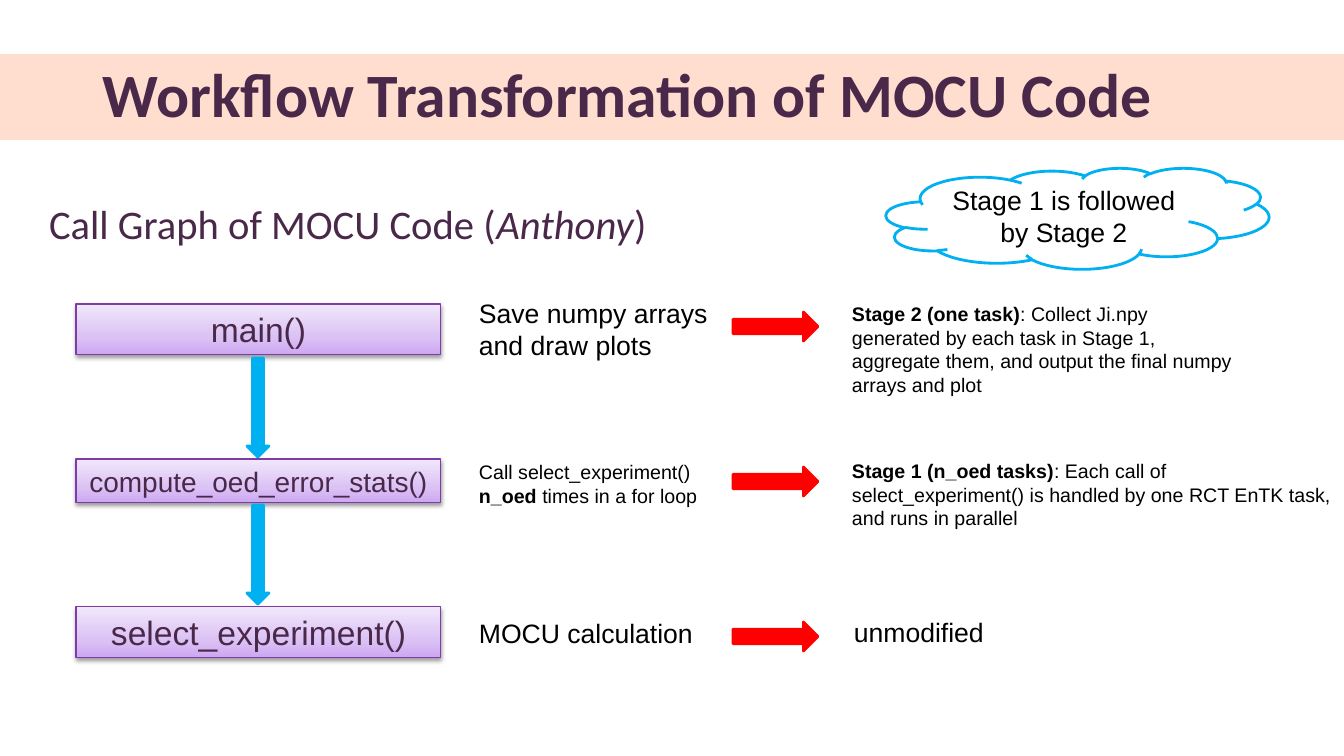
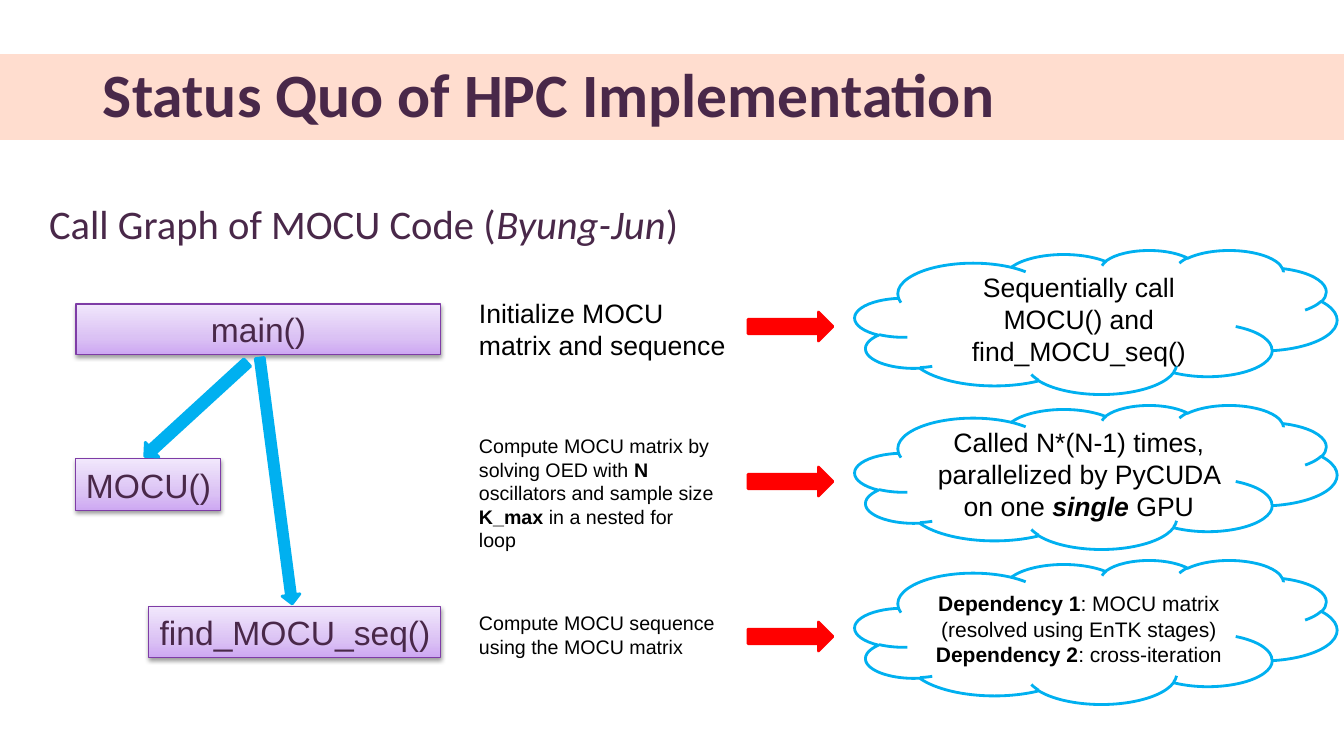
import dataclasses

import lxml.etree
import pptx
import pptx.dml.color
import pptx.enum.shapes
import pptx.enum.text
import pptx.oxml.ns
import pptx.util

SLIDE_W, SLIDE_H = 1344, 756
EMU_PER_PX = 12192000 / SLIDE_W
SHAPE = pptx.enum.shapes.MSO_SHAPE
ALIGN = pptx.enum.text.PP_ALIGN
ANCHOR = pptx.enum.text.MSO_ANCHOR
AUTO_SIZE = pptx.enum.text.MSO_AUTO_SIZE


@dataclasses.dataclass(frozen=True)
class Theme:
    """Colours, fonts and type sizes shared by the slides."""
    band: str = "FFDDCF"
    plum: str = "492849"
    black: str = "000000"
    white: str = "FFFFFF"
    red: str = "FF0000"
    sky: str = "00B0F0"
    call_line: str = "7E3CA6"
    call_stops: tuple = ((0, "CDA7F2"), (35, "DBC2F4"), (100, "F1E7FC"))
    heading_font: str = "Calibri"
    body_font: str = "Arial"
    title: int = 44
    subtitle: int = 29
    call: int = 24
    call_long: int = 20
    large: int = 19
    medium: int = 15
    small: int = 14


T = Theme()


def px(n):
    """Turn px into EMU."""
    return pptx.util.Emu(round(n * EMU_PER_PX))


def rgb(value):
    """Turn a hex string into a colour."""
    return pptx.dml.color.RGBColor.from_string(value)


def inside(box, x, y, w, h):
    """Place a part by its offset from the corner of a box."""
    return box[0] + x, box[1] + y, w, h


def sub(parent, tag, **attrs):
    """Append a drawing element to a parent."""
    el = lxml.etree.SubElement(parent, pptx.oxml.ns.qn(tag))
    for name, value in attrs.items():
        el.set(name, str(value))
    return el


def write(sp, paragraphs, size, color, font=T.body_font, bold=False,
          align=ALIGN.LEFT, anchor=ANCHOR.TOP, spacing=1.0, inset=10):
    """Write paragraphs of (text, flags) runs into a shape."""
    tf = sp.text_frame
    tf.word_wrap = True
    tf.vertical_anchor = anchor
    tf.margin_left = tf.margin_right = px(inset)
    tf.margin_top = tf.margin_bottom = px(5)
    for i, runs in enumerate(paragraphs):
        p = tf.add_paragraph() if i else tf.paragraphs[0]
        p.alignment = align
        p.line_spacing = spacing
        for text, flags in runs:
            r = p.add_run()
            r.text = text
            r.font.name = font
            r.font.size = pptx.util.Pt(size)
            r.font.color.rgb = rgb(color)
            r.font.bold = bold or "b" in flags
            r.font.italic = "i" in flags


def add_text(s, box, paragraphs, size, color=T.black, **style):
    """Add a text box."""
    sp = s.shapes.add_textbox(*map(px, box))
    write(sp, paragraphs, size, color, **style)
    return sp


def add_shape(s, kind, box, fill, line=None, width=2):
    """Add a flat preset shape."""
    sp = s.shapes.add_shape(kind, *map(px, box))
    sp.shadow.inherit = False
    sp.fill.solid()
    sp.fill.fore_color.rgb = rgb(fill)
    if line:
        sp.line.color.rgb = rgb(line)
        sp.line.width = pptx.util.Pt(width)
    else:
        sp.line.fill.background()
    return sp


def add_call(s, box, name, size=T.call):
    """Add a shaded box holding a function name."""
    sp = add_shape(s, SHAPE.RECTANGLE, box, T.white, T.call_line, 0.75)
    sp.fill.gradient()
    sp.fill.gradient_angle = 90
    sp_pr = sp._element.spPr
    stops = sp_pr.find(".//" + pptx.oxml.ns.qn("a:gsLst"))
    for old in list(stops):
        stops.remove(old)
    for pos, color in T.call_stops:
        sub(sub(stops, "a:gs", pos=pos * 1000), "a:srgbClr", val=color)
    effects = sp_pr.find(pptx.oxml.ns.qn("a:effectLst"))
    shadow = sub(effects, "a:outerShdw", blurRad=39370, dist=20320,
                 dir=5400000, rotWithShape=0)
    sub(sub(shadow, "a:srgbClr", val=T.black), "a:alpha", val=38000)
    write(sp, [[(name, "")]], size, T.plum, align=ALIGN.CENTER,
          anchor=ANCHOR.MIDDLE, inset=5)


def add_cloud(s, box, paragraphs, size=T.large):
    """Add an outlined cloud with centred text."""
    sp = add_shape(s, SHAPE.CLOUD, box, T.white, T.sky)
    write(sp, paragraphs, size, T.black, align=ALIGN.CENTER, anchor=ANCHOR.MIDDLE)


def add_header(s, box, title, author):
    """Place the band, title and subtitle."""
    add_shape(s, SHAPE.RECTANGLE, inside(box, 0, 0, box[2], 86), T.band)
    add_text(s, inside(box, 93, 17, 1159, 53), [[(title, "")]], T.title, T.plum,
             font=T.heading_font, bold=True, anchor=ANCHOR.MIDDLE, spacing=0.9)
    add_text(s, inside(box, 39, 145, 680, 60),
             [[("Call Graph of MOCU Code (", ""), (author, "i"), (")", "")]],
             T.subtitle, T.plum, font=T.heading_font, spacing=0.9)


def add_call_graph(s, box, calls, arrows):
    """Place the function boxes and the arrows between them."""
    for place, *label in calls:
        add_call(s, inside(box, *place), *label)
    for place, angle in arrows:
        sp = add_shape(s, SHAPE.DOWN_ARROW, inside(box, *place), T.sky, T.sky)
        sp.rotation = angle


def add_notes(s, box, notes):
    """Place a column of text that grows with its content."""
    for place, runs, size in notes:
        sp = add_text(s, inside(box, *place), [runs], size)
        sp.text_frame.auto_size = AUTO_SIZE.SHAPE_TO_FIT_TEXT


def add_row_arrows(s, box):
    """Place one red arrow on each of three rows."""
    for row in range(3):
        add_shape(s, SHAPE.RIGHT_ARROW, inside(box, 0, 62 + 155 * row, 85, 29),
                  T.red, T.red)


def add_clouds(s, box, clouds):
    """Place one cloud on each row."""
    for row, (paragraphs, size) in enumerate(clouds):
        add_cloud(s, inside(box, 0, 155 * row, box[2], 144), paragraphs, size)


def new_slide(prs, title, author):
    """Start a slide with the shared header."""
    s = prs.slides.add_slide(prs.slide_layouts[6])
    add_header(s, (0, 54, SLIDE_W, 206), title, author)
    return s


def build_workflow(prs):
    """Build the slide on the two-stage workflow."""
    s = new_slide(prs, "Workflow Transformation of MOCU Code", "Anthony")
    add_call_graph(s, (76, 250, 365, 456), [
        ((0, 54, 365, 51), "main()"),
        ((0, 209, 365, 44), "compute_oed_error_stats()", T.call_long),
        ((0, 357, 365, 51), "select_experiment()"),
    ], [((171, y, 22, 99), 0) for y in (108, 255)])
    add_notes(s, (469, 250, 251, 456), [
        ((0, 42, 251, 75), [("Save numpy arrays and draw plots", "")], T.large),
        ((0, 205, 240, 57), [("Call select_experiment() ", ""), ("n_oed", "b"),
                             (" times in a for loop", "")], T.small),
        ((0, 362, 240, 42), [("MOCU calculation", "")], T.large),
    ])
    add_row_arrows(s, (733, 250, 85, 456))
    add_notes(s, (842, 250, 512, 456), [
        ((0, 47, 410, 82), [
            ("Stage 2 (one task)", "b"),
            (": Collect Ji.npy generated by each task in Stage 1, aggregate them, "
             "and output the final numpy arrays and plot", "")], T.small),
        ((0, 204, 512, 57), [
            ("Stage 1 (n_oed tasks)", "b"),
            (": Each call of select_experiment() is handled by one RCT EnTK task, "
             "and runs in parallel", "")], T.small),
        ((2, 361, 512, 42), [("unmodified", "")], T.large),
    ])
    add_cloud(s, (886, 168, 383, 101), [[("Stage 1 is followed by Stage 2", "")]])


def build_status(prs):
    """Build the slide on the current implementation."""
    s = new_slide(prs, "Status Quo of HPC Implementation", "Byung-Jun")
    add_call_graph(s, (76, 250, 365, 456), [
        ((0, 54, 365, 51), "main()"),
        ((0, 209, 145, 52), "MOCU()"),
        ((73, 357, 292, 51), "find_MOCU_seq()"),
    ], [((110, 90, 20, 139), 47.5), ((191, 107, 18, 248), 352.5)])
    add_notes(s, (469, 250, 268, 456), [
        ((0, 42, 268, 75), [("Initialize MOCU matrix and sequence", "")], T.large),
        ((0, 179, 257, 105), [
            ("Compute MOCU matrix by solving OED with ", ""), ("N", "b"),
            (" oscillators and sample size ", ""), ("K_max", "b"),
            (" in a nested for loop", "")], T.small),
        ((0, 356, 257, 57),
         [("Compute MOCU sequence using the MOCU matrix", "")], T.small),
    ])
    add_row_arrows(s, (748, 250, 85, 456))
    add_clouds(s, (855, 250, 482, 456), [
        ([[("Sequentially call MOCU() and find_MOCU_seq()", "")]], T.large),
        ([[("Called N*(N-1) times, parallelized by PyCUDA on one ", ""),
           ("single", "bi"), (" GPU", "")]], T.large),
        ([[("Dependency 1", "b"), (": MOCU matrix (resolved using EnTK stages)", "")],
          [("Dependency 2", "b"), (": cross-iteration", "")]], T.medium),
    ])


def main():
    """Build and save the presentation."""
    prs = pptx.Presentation()
    prs.slide_width, prs.slide_height = px(SLIDE_W), px(SLIDE_H)
    build_workflow(prs)
    build_status(prs)
    prs.save("out.pptx")


if __name__ == "__main__":
    main()
